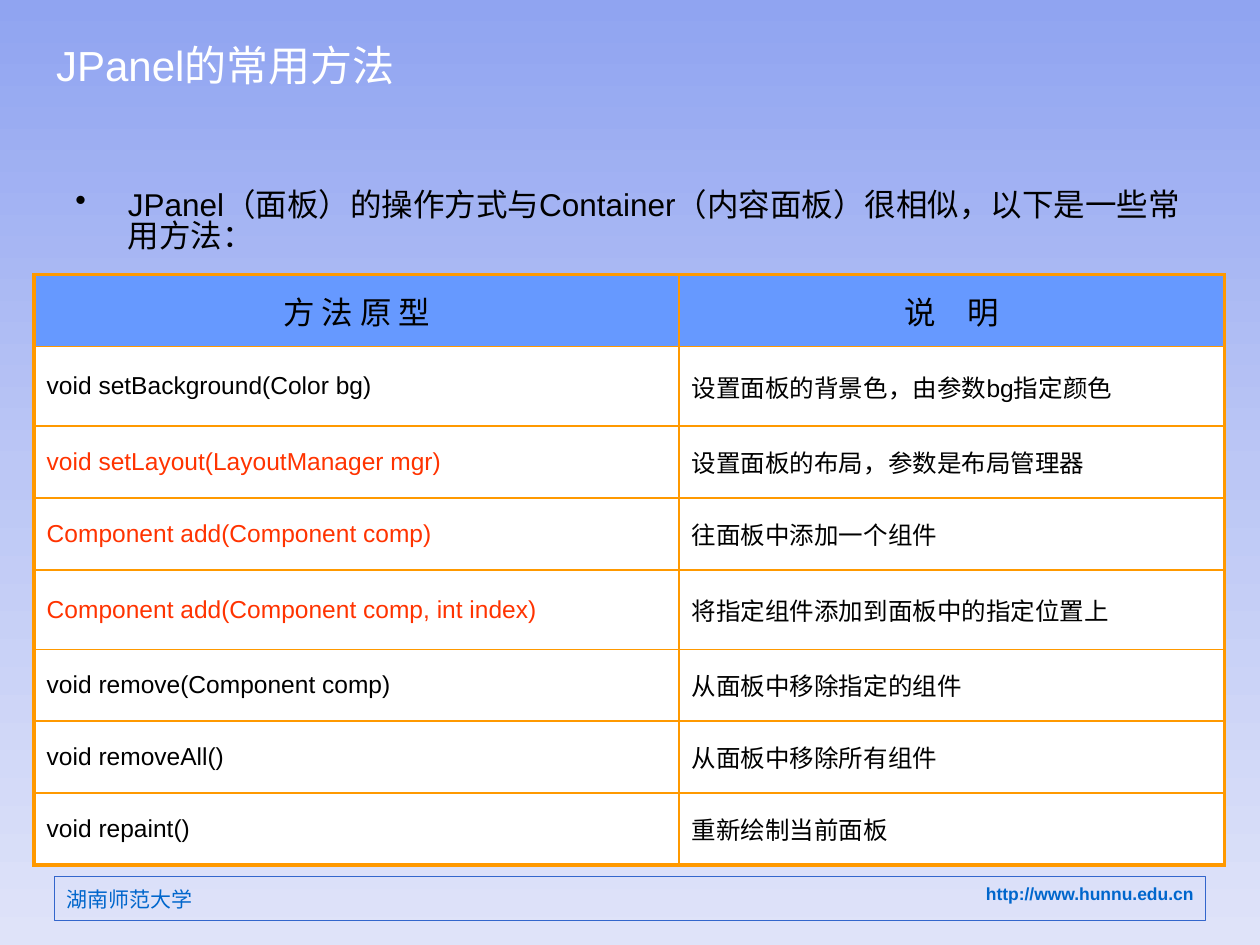
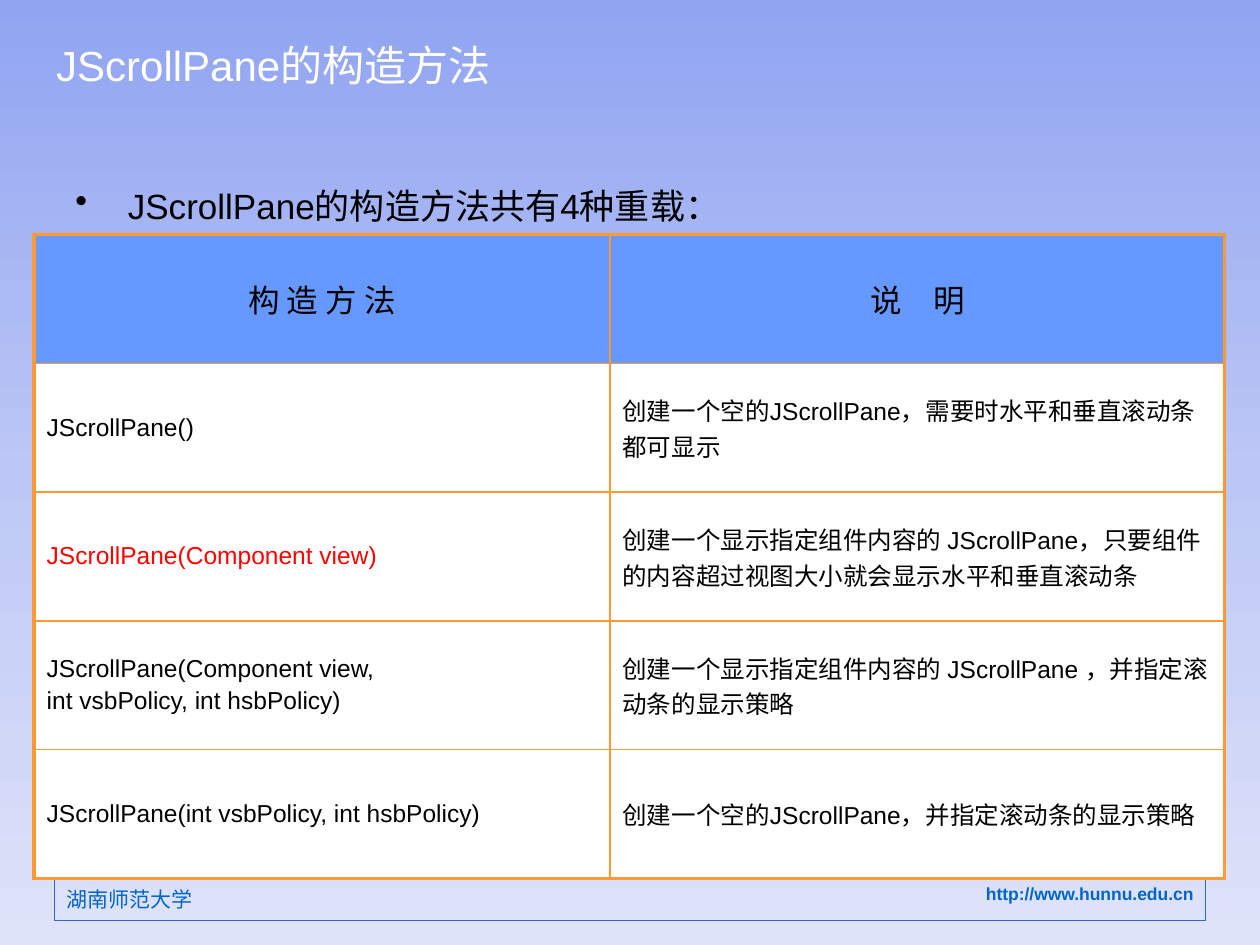
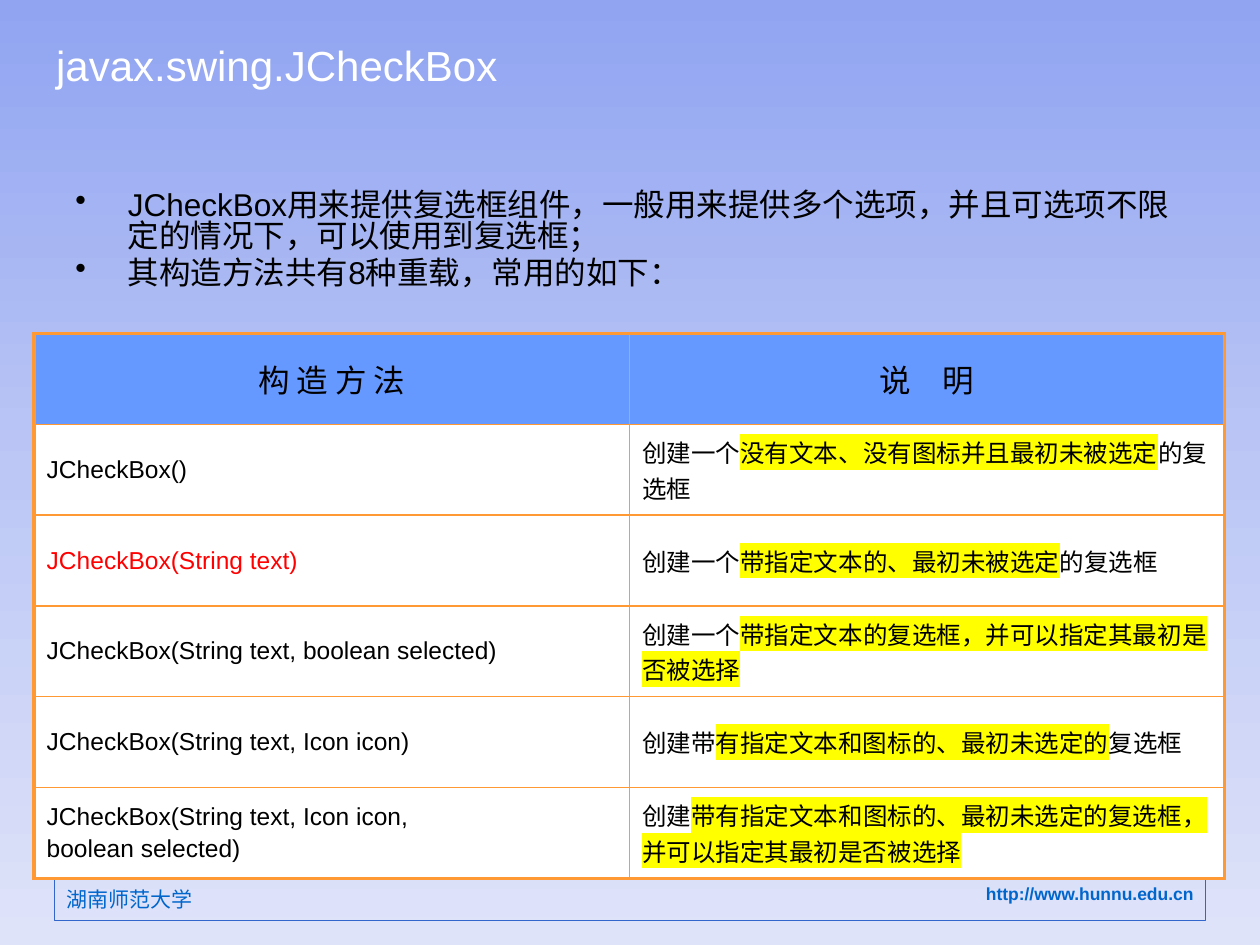
from dataclasses import dataclass

from lxml.etree import SubElement
from pptx import Presentation
from pptx.dml.color import RGBColor
from pptx.enum.shapes import MSO_SHAPE
from pptx.enum.text import MSO_ANCHOR, PP_ALIGN
from pptx.oxml.ns import qn
from pptx.util import Pt


@dataclass(frozen=True)
class Theme:
    latin: str = "Arial"
    cjk: str = "Noto Sans CJK SC"
    mono: str = "Courier New"
    background: tuple = ((0, "90A4F1"), (50, "BCC7F5"), (100, "DFE3F9"))
    white: str = "FFFFFF"
    black: str = "000000"
    frame: str = "3366CC"
    footer: str = "0066CC"
    header_fill: str = "6699FF"
    highlight: str = "FFFF00"
    title_size: int = 24
    body_size: int = 18
    header_size: int = 18
    cell_size: int = 14
    school_size: int = 12
    url_size: int = 10
    outer_line: float = 2.25
    inner_line: float = 1
    body_spacing: float = 0.82
    space_before: float = 0.2


class Deck:
    def __init__(self, theme):
        self.theme = theme
        self.prs = Presentation()
        self.prs.slide_width, self.prs.slide_height = Pt(720), Pt(540)
        self.slide = None
        self.set_background()

    def set_background(self):
        master = self.prs.slide_master
        fill = master.background.fill
        fill.gradient()
        fill.gradient_angle = 270
        stops = next(master.element.iter(qn("a:gsLst")))
        for stop in list(stops):
            stops.remove(stop)
        for position, color in self.theme.background:
            stop = SubElement(stops, qn("a:gs"), pos=str(position * 1000))
            SubElement(stop, qn("a:srgbClr"), val=color)

    def style_run(self, r, size, color, latin=None, bold=False, highlight=None):
        font = r.font
        font.size, font.bold = Pt(size), bold
        font.color.rgb = RGBColor.from_string(color)
        font.name = latin or self.theme.latin
        rPr = r._r.get_or_add_rPr()
        ea = SubElement(rPr, qn("a:ea"), typeface=self.theme.cjk)
        rPr.find(qn("a:latin")).addnext(ea)
        if highlight:
            mark = SubElement(rPr, qn("a:highlight"))
            SubElement(mark, qn("a:srgbClr"), val=highlight)
            rPr.find(qn("a:solidFill")).addnext(mark)

    def add_text(self, tf, text, size, color, align=PP_ALIGN.LEFT, **style):
        """Fill a frame, one paragraph a line; parts between bars are highlighted."""
        for i, line in enumerate(text.split("\n")):
            p = tf.add_paragraph() if i else tf.paragraphs[0]
            p.alignment = align
            p.space_before = Pt(size * self.theme.space_before if i else 0)
            for j, part in enumerate(line.split("|")):
                if part:
                    r = p.add_run()
                    r.text = part
                    mark = self.theme.highlight if j % 2 else None
                    self.style_run(r, size, color, highlight=mark, **style)

    def text_box(self, left, top, width, height, text, size, color, **style):
        box = self.slide.shapes.add_textbox(Pt(left), Pt(top), Pt(width), Pt(height))
        tf = box.text_frame
        tf.word_wrap = True
        self.add_text(tf, text, size, color, **style)
        return tf

    def footer(self):
        t = self.theme
        sp = self.slide.shapes.add_shape(
            MSO_SHAPE.RECTANGLE, Pt(31), Pt(501), Pt(658), Pt(25))
        sp.shadow.inherit = False
        sp.fill.background()
        sp.line.color.rgb = RGBColor.from_string(t.frame)
        sp.line.width = Pt(0.75)
        sp.text_frame.vertical_anchor = MSO_ANCHOR.TOP
        self.add_text(sp.text_frame, "http://www.hunnu.edu.cn", t.url_size, t.footer,
                      align=PP_ALIGN.RIGHT, bold=True)
        self.text_box(31, 503, 284, 22, "湖南师范大学", t.school_size, t.footer,
                      latin=t.cjk)

    def new_slide(self, title):
        t = self.theme
        self.slide = self.prs.slides.add_slide(self.prs.slide_layouts[6])
        self.footer()
        tf = self.text_box(25, 15, 398, 44, title, t.title_size, t.white)
        tf.vertical_anchor = MSO_ANCHOR.MIDDLE

    def bullets(self, text, size=None):
        t = self.theme
        tf = self.text_box(36, 106, 648, 376, text, size or t.body_size, t.black)
        for p in tf.paragraphs:
            p.line_spacing = t.body_spacing
            pPr = p._p.get_or_add_pPr()
            pPr.set("marL", str(Pt(30)))
            pPr.set("indent", str(-Pt(30)))
            SubElement(pPr, qn("a:buChar"), char="•")

    def border(self, cell, color, outer_sides):
        tcPr = cell._tc.get_or_add_tcPr()
        for i, side in enumerate("LRTB"):
            width = self.theme.outer_line if side in outer_sides else self.theme.inner_line
            ln = SubElement(tcPr, qn(f"a:ln{side}"), w=str(Pt(width)))
            fill = SubElement(ln, qn("a:solidFill"))
            SubElement(fill, qn("a:srgbClr"), val=color)
            tcPr.insert(i, ln)

    def table(self, top, columns, row_heights, rows, line, accent, accent_rows,
              header_font=None):
        """Two-column table; accent_rows get the accent colour in the first column."""
        t = self.theme
        table = self.slide.shapes.add_table(
            len(rows), len(columns), Pt(19.5), Pt(top),
            Pt(sum(columns)), Pt(sum(row_heights))).table
        table.first_row = table.horz_banding = False
        for column, width in zip(table.columns, columns):
            column.width = Pt(width)
        for i, (texts, height) in enumerate(zip(rows, row_heights)):
            table.rows[i].height = Pt(height)
            for j, text in enumerate(texts):
                cell = table.cell(i, j)
                cell.vertical_anchor = MSO_ANCHOR.MIDDLE
                cell.fill.solid()
                cell.fill.fore_color.rgb = RGBColor.from_string(
                    t.white if i else t.header_fill)
                outer = "LR"[j] + ("T" if i == 0 else "")
                outer += "B" if i == len(rows) - 1 else ""
                self.border(cell, line, outer)
                if i == 0:
                    self.add_text(cell.text_frame, text, t.header_size, t.black,
                                  align=PP_ALIGN.CENTER, latin=header_font)
                else:
                    color = accent if j == 0 and i in accent_rows else t.black
                    self.add_text(cell.text_frame, text, t.cell_size, color)


PANEL_METHODS = [
    ("方 法 原 型", "说　明"),
    ("void setBackground(Color bg)", "设置面板的背景色，由参数bg指定颜色"),
    ("void setLayout(LayoutManager mgr)", "设置面板的布局，参数是布局管理器"),
    ("Component add(Component comp)", "往面板中添加一个组件"),
    ("Component add(Component comp, int index)", "将指定组件添加到面板中的指定位置上"),
    ("void remove(Component comp)", "从面板中移除指定的组件"),
    ("void removeAll()", "从面板中移除所有组件"),
    ("void repaint()", "重新绘制当前面板"),
]
CONSTRUCTOR_HEADER = ("构 造 方 法", "说　明")
SCROLL_CONSTRUCTORS = [
    CONSTRUCTOR_HEADER,
    ("JScrollPane()", "创建一个空的JScrollPane，需要时水平和垂直滚动条都可显示"),
    ("JScrollPane(Component view)",
     "创建一个显示指定组件内容的 JScrollPane，只要组件的内容超过视图大小就会显示水平和垂直滚动条"),
    ("JScrollPane(Component view,\nint vsbPolicy, int hsbPolicy)",
     "创建一个显示指定组件内容的 JScrollPane ，并指定滚动条的显示策略"),
    ("JScrollPane(int vsbPolicy, int hsbPolicy)",
     "创建一个空的JScrollPane，并指定滚动条的显示策略"),
]
CHECK_CONSTRUCTORS = [
    CONSTRUCTOR_HEADER,
    ("JCheckBox()", "创建一个|没有文本、没有图标并且最初未被选定|的复选框"),
    ("JCheckBox(String text)", "创建一个|带指定文本的、最初未被选定|的复选框"),
    ("JCheckBox(String text, boolean selected)",
     "创建一个|带指定文本的复选框，并可以指定其最初是否被选择|"),
    ("JCheckBox(String text, Icon icon)",
     "创建带|有指定文本和图标的、最初未选定的|复选框"),
    ("JCheckBox(String text, Icon icon,\nboolean selected)",
     "创建|带有指定文本和图标的、最初未选定的复选框，并可以指定其最初是否被选择|"),
]


def main():
    theme = Theme()
    deck = Deck(theme)
    constructor_style = dict(line="FF9933", accent="FF0000", accent_rows={2},
                             header_font=theme.mono)

    deck.new_slide("JPanel的常用方法")
    deck.bullets("JPanel（面板）的操作方式与Container（内容面板）很相似，以下是一些常用方法：")
    heights = [45.4 if i in (1, 4) else 41.1 for i in range(len(PANEL_METHODS))]
    deck.table(157, (368.6, 311.8), heights, PANEL_METHODS,
               line="FF9900", accent="FF3300", accent_rows={2, 3, 4})

    deck.new_slide("JScrollPane的构造方法")
    deck.bullets("JScrollPane的构造方法共有4种重载：", size=20)
    deck.table(134, (329, 351.4), [73.6] * len(SCROLL_CONSTRUCTORS),
               SCROLL_CONSTRUCTORS, **constructor_style)

    deck.new_slide("javax.swing.JCheckBox")
    deck.bullets("JCheckBox用来提供复选框组件，一般用来提供多个选项，并且可选项不限定的情况下，"
                 "可以使用到复选框；\n其构造方法共有8种重载，常用的如下：")
    deck.table(190.6, (340.2, 340.2), [51.9] * len(CHECK_CONSTRUCTORS),
               CHECK_CONSTRUCTORS, **constructor_style)

    deck.prs.save("out.pptx")


if __name__ == "__main__":
    main()
